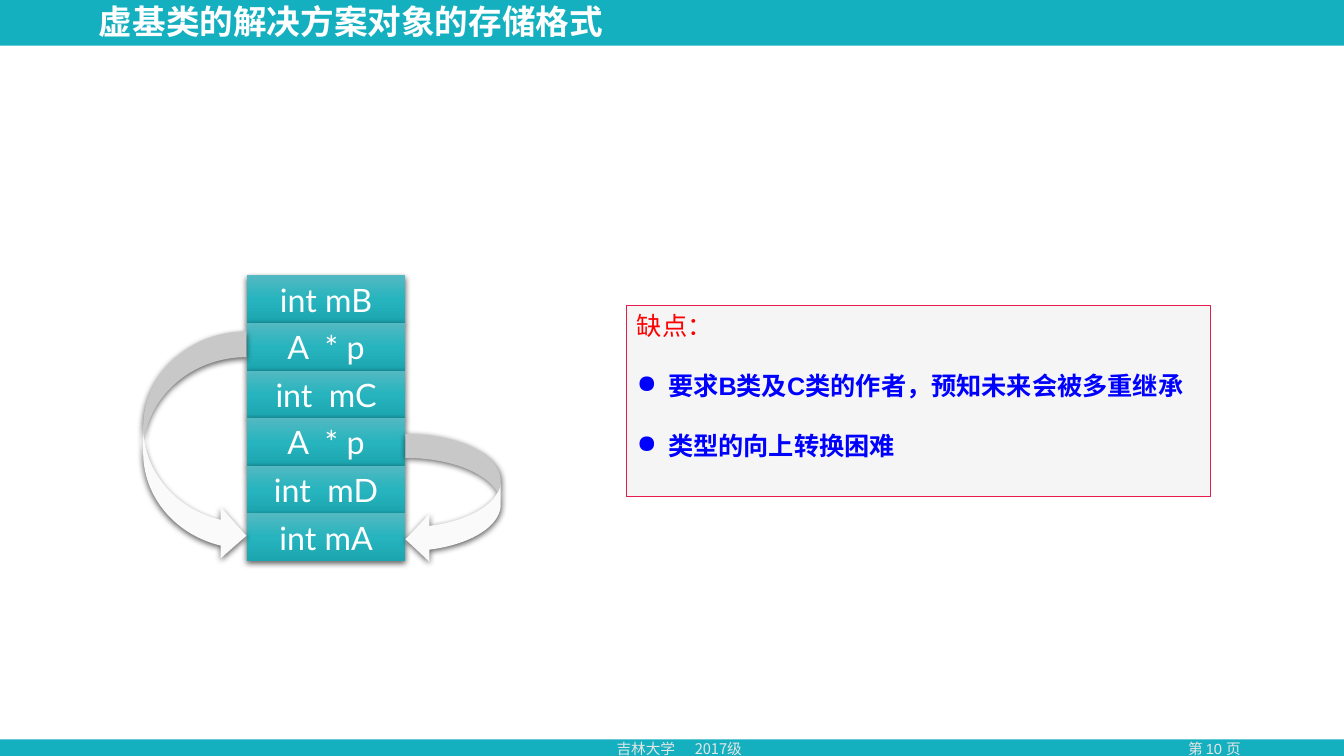
from copy import deepcopy
from pptx import Presentation
from pptx.dml.color import RGBColor as RGB
from pptx.enum.shapes import MSO_SHAPE as Kind
from pptx.enum.text import MSO_ANCHOR as Anchor, PP_ALIGN as Align
from pptx.oxml import parse_xml
from pptx.oxml.ns import nsdecls, qn
from pptx.util import Cm, Pt

HUES = {
    "teal": "14B0C0", "white": "FFFFFF", "foot": "E7E6E6",
    "top": "53B9C2", "mid": "26B4BE", "low": "1CA5AF",
    "arrow": "FAFAFA", "panel": "F5F5F5", "edge": "E61A4B",
    "red": "FF0000", "blue": "0000FF",
}
HAN = "Noto Sans CJK SC"
WIDE, HIGH = 33.87, 19.05


def hue(name):
    return RGB.from_string(HUES[name])


def node(tag, inner="", **attrs):
    text = " ".join(f'{key}="{val}"' for key, val in attrs.items())
    return parse_xml(f'<a:{tag} {nsdecls("a")} {text}>{inner}</a:{tag}>')


def write(para, text, size=18, font="Arial", color="white", bold=False,
          align=None, before=0, line=None):
    para.alignment = align
    para.space_before = Pt(before)
    if line:
        para.line_spacing = line
    run = para.add_run()
    run.text = text
    face = run.font
    face.size, face.name, face.bold = Pt(size), font, bold
    face.color.rgb = hue(color)
    if font != "Arial":
        run._r.get_or_add_rPr().append(node("ea", typeface=font))


class Deck:
    def __init__(self):
        self.file = Presentation()
        self.file.slide_width, self.file.slide_height = Cm(WIDE), Cm(HIGH)
        self.slide = self.file.slides.add_slide(self.file.slide_layouts[5])
        self.items = self.slide.shapes

    def shape(self, kind, box, fill, line=None):
        item = self.items.add_shape(kind, *map(Cm, box))
        item.shadow.inherit = False
        item.fill.solid()
        item.fill.fore_color.rgb = hue(fill)
        if line:
            item.line.color.rgb = hue(line)
            item.line.width = Pt(0.75)
        else:
            item.line.fill.background()
        return item

    def shade(self, item):
        glow = node("outerShdw",
                    '<a:srgbClr val="000000"><a:alpha val="63000"/></a:srgbClr>',
                    blurRad=Pt(4.5), dist=Pt(1.5), dir=5400000, rotWithShape=0)
        item.element.spPr.find(qn("a:effectLst")).append(glow)

    def cell(self, text, box):
        item = self.shape(Kind.RECTANGLE, box, "mid")
        item.fill.gradient()
        item.fill.gradient_angle = 270
        stops = item.element.spPr.find(".//" + qn("a:gsLst"))
        stops.insert(1, deepcopy(stops[0]))
        for stop, name, place in zip(item.fill.gradient_stops,
                                     ("top", "mid", "low"), (0, 0.5, 1)):
            stop.color.rgb = hue(name)
            stop.position = place
        self.shade(item)
        item.text_frame.vertical_anchor = Anchor.MIDDLE
        write(item.text_frame.paragraphs[0], text, size=23, font="Lato",
              align=Align.CENTER)

    def arrow(self, box, flip=False):
        item = self.shape(Kind.CURVED_RIGHT_ARROW, box, "arrow")
        self.shade(item)
        if flip:
            item.element.spPr.xfrm.set("flipH", "1")

    def title(self, text, box):
        item = self.items.title
        self.items.element.append(item.element)  # bring above the bands
        item.left, item.top, item.width, item.height = map(Cm, box)
        item.text_frame.vertical_anchor = Anchor.MIDDLE
        write(item.text_frame.paragraphs[0], text, size=24, font=HAN,
              bold=True, align=Align.LEFT, line=0.9)

    def label(self, text, box, tab=None, **style):
        item = self.items.add_textbox(*map(Cm, box))
        item.text_frame.word_wrap = True
        para = item.text_frame.paragraphs[0]
        write(para, text, size=10.5, color="foot", **style)
        if tab:
            stops = node("tabLst", f'<a:tab pos="{Cm(tab)}" algn="l"/>')
            para._p.get_or_add_pPr().append(stops)

    def panel(self, head, points, box):
        item = self.shape(Kind.RECTANGLE, box, "panel", "edge")
        frame = item.text_frame
        frame.word_wrap = True
        frame.vertical_anchor = Anchor.TOP
        write(frame.paragraphs[0], head, color="red", align=Align.LEFT)
        for point in points:
            para = frame.add_paragraph()
            write(para, point, color="blue", bold=True, align=Align.LEFT,
                  before=21.5)
            props = para._p.get_or_add_pPr()
            props.set("marL", str(Cm(0.79)))
            props.set("indent", str(-Cm(0.79)))
            props.append(node("buChar", char="●"))


def main():
    deck = Deck()

    # Teal bands above and below the white body
    deck.shape(Kind.RECTANGLE, (0, 0, WIDE, HIGH), "teal")
    deck.shape(Kind.RECTANGLE, (0, 1.15, WIDE, 17.48), "white")
    deck.title("虚基类的解决方案对象的存储格式", (2.24, 0.1, 19.5, 1))

    # Footer
    deck.label("第 10 页", (28.75, 18.52, 3.71, 0.7), align=Align.CENTER)
    deck.label("吉林大学\t2017级", (15.29, 18.52, 4.67, 0.7), tab=1.97,
               font=HAN)

    # Memory layout of the object
    left, top, width, high = 6.22, 6.94, 4, 1.2
    fields = ("int mB", "A  * p", "int  mC", "A  * p", "int  mD", "int mA")
    for row, field in enumerate(fields):
        deck.cell(field, (left, top + row * high, width, high))

    # Both pointers lead to the shared base member
    deck.arrow((3.61, 8.35, 2.6, 5.8))
    deck.arrow((left + width, 10.94, 2.4, 3.25), flip=True)

    # Drawbacks
    deck.panel("缺点：",
               ("要求B类及C类的作者，预知未来会被多重继承", "类型的向上转换困难"),
               (15.8, 7.69, 14.7, 4.82))

    deck.file.save("out.pptx")


if __name__ == "__main__":
    main()
